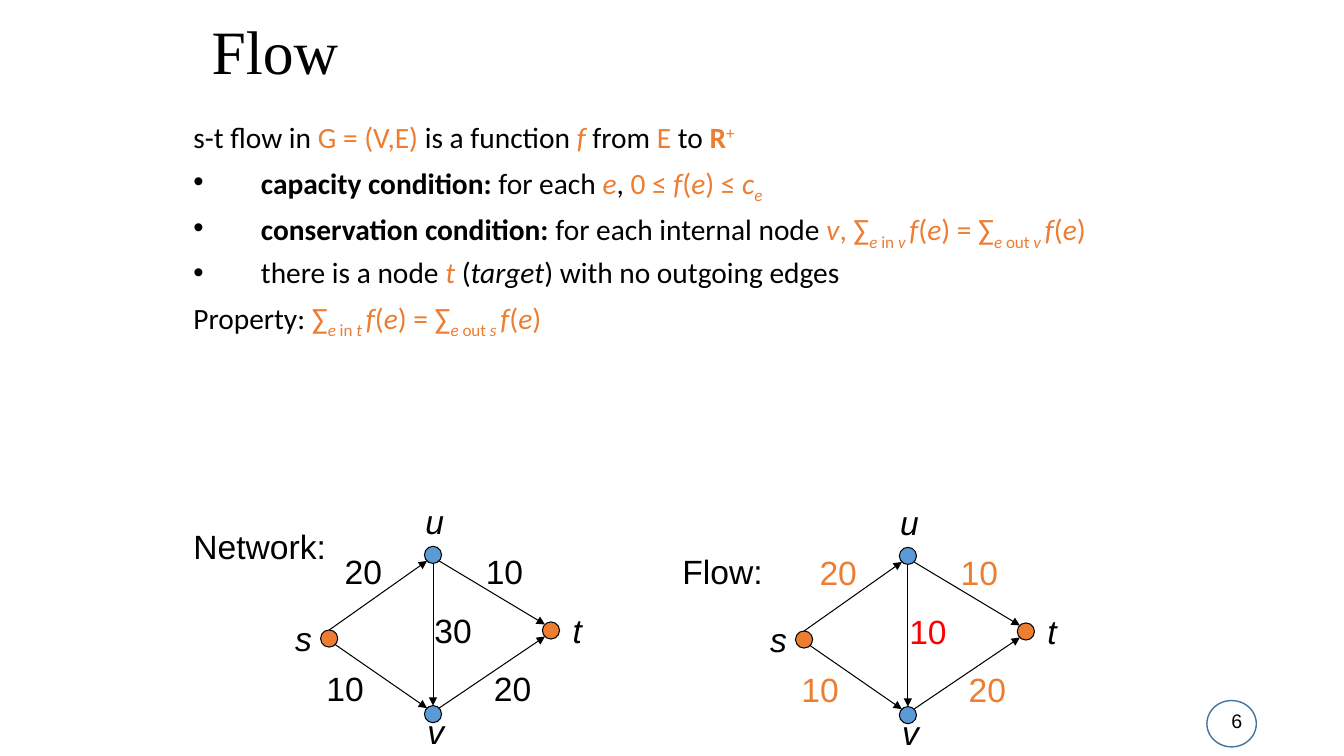
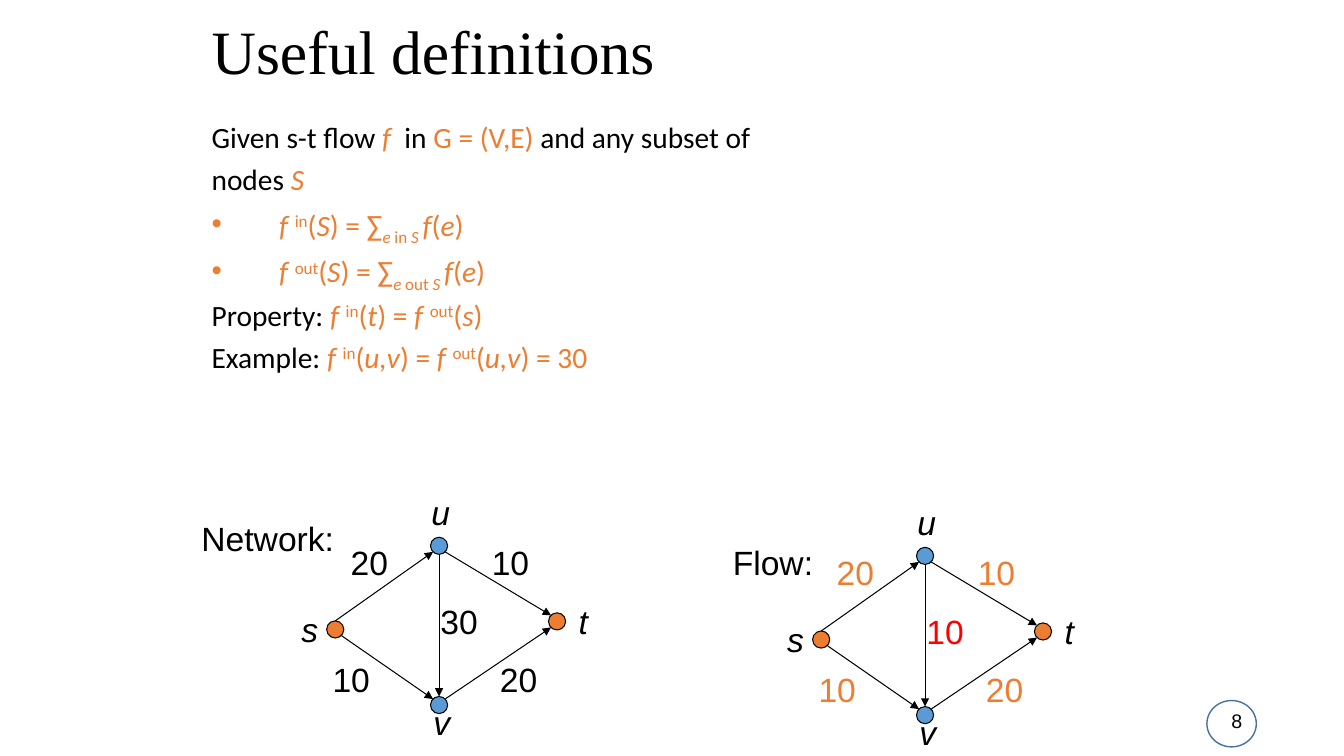
"""Build two slides on s-t flows, each with a network graph and a flow graph."""
from lxml import etree
from pptx import Presentation, util as u
from pptx.dml.color import RGBColor
from pptx.enum import shapes, text
from pptx.oxml.ns import qn

COLORS = {"ink": "000000", "orange": "ED7D31", "blue": "5B9BD5", "red": "FF0000", "ring": "43739E"}
ORANGE_STYLE, ITALIC, BOLD, SUPER, SUB = "o", "i", "b", "^", "_"
DOT = 0.17
NODES = {"s": (0, 0.83, "orange"), "u": (1.03, 0, "blue"),
         "t": (2.2, 0.75, "orange"), "v": (1.03, 1.58, "blue")}
SIDES = {"top": (0.5, 0), "bottom": (0.5, 1), "top left": (0.15, 0.15), "top right": (0.85, 0.15),
         "bottom left": (0.15, 0.85), "bottom right": (0.85, 0.85)}
EDGES = [("u", "bottom right", "t", "top left"), ("s", "top", "u", "bottom left"),
         ("s", "bottom right", "v", "top left"), ("v", "top right", "t", "bottom left"),
         ("u", "bottom", "v", "top")]
NODE_LABELS = {"s": (-0.35, 0.66, 0.37), "u": (-0.09, -0.5, 0.39),
               "t": (2.4, 0.58, 0.29), "v": (-0.07, 1.58, 0.37)}
EDGE_LABELS = {"su": (0.14, 0), "sv": (-0.04, 1.16), "vt": (1.62, 1.16), "ut": (1.54, 0), "uv": (1.03, 0.58)}


def rgb(name):
    return RGBColor.from_string(COLORS[name])


def set_font(font, name="Arial", size=24, color="ink", bold=False, italic=False):
    font.name, font.size = name, u.Pt(size)
    font.bold, font.italic = bold, italic
    font.color.rgb = rgb(color)


def add_text(s, x, y, w, h, content=None, align=None, spacing=None, wrap=True,
             anchor=text.MSO_ANCHOR.MIDDLE, **font):
    tf = s.shapes.add_textbox(*map(u.Inches, (x, y, w, h))).text_frame
    tf.word_wrap = wrap
    tf.auto_size = text.MSO_AUTO_SIZE.NONE if wrap else text.MSO_AUTO_SIZE.SHAPE_TO_FIT_TEXT
    tf.vertical_anchor = anchor
    if content is not None:
        p = tf.paragraphs[0]
        p.alignment, p.line_spacing = align, spacing
        r = p.add_run()
        r.text = content
        set_font(r.font, **font)
    return tf


def add_ellipse(s, x, y, w, h, fill=None, line="ink", width=0.75):
    sp = s.shapes.add_shape(shapes.MSO_SHAPE.OVAL, *map(u.Inches, (x, y, w, h)))
    sp.shadow.inherit = False
    if fill:
        sp.fill.solid()
        sp.fill.fore_color.rgb = rgb(fill)
    else:
        sp.fill.background()
    sp.line.color.rgb = rgb(line)
    sp.line.width = u.Pt(width)


def add_arrow(s, x1, y1, x2, y2):
    ln = s.shapes.add_connector(shapes.MSO_CONNECTOR.STRAIGHT, *map(u.Inches, (x1, y1, x2, y2)))
    ln.line.color.rgb = rgb("ink")
    ln.line.width = u.Pt(0.75)
    etree.SubElement(ln.line._get_or_add_ln(), qn("a:tailEnd"), type="triangle")
    etree.SubElement(ln._element.spPr, qn("a:effectLst"))


def add_body(s, x, w, paragraphs):
    tf = add_text(s, x, 1.17, w, 3.92, anchor=text.MSO_ANCHOR.TOP)
    for i, (bullet, runs) in enumerate(paragraphs):
        p = tf.add_paragraph() if i else tf.paragraphs[0]
        pPr = p._p.get_or_add_pPr()
        pPr.set("marL", str(u.Inches(0.67)))
        pPr.set("indent", str(-u.Inches(0.67)))
        if bullet:
            etree.SubElement(pPr, qn("a:buFont"), typeface="Arial")
            etree.SubElement(pPr, qn("a:buChar"), char="•")
        p.line_spacing = 0.9
        if i:
            p.space_before = u.Pt(7.5)
        for content, style in runs:
            r = p.add_run()
            r.text = content
            set_font(r.font, "Calibri", 21, "orange" if ORANGE_STYLE in style else "ink",
                     BOLD in style, ITALIC in style)
            if SUPER in style:
                r.font._element.set("baseline", "30000")
            elif SUB in style:
                r.font._element.set("baseline", "-25000")


def f_of_e():
    return [("f", "oi"), ("(", "o"), ("e", "oi"), (")", "o")]


def edge_sum(direction, node):
    return [("∑", "o"), ("e", "oi_"), (f" {direction} ", "o_"), (f"{node} ", "oi_"), *f_of_e()]


def node_flow(direction, nodes):
    return [("f ", "oi"), (direction, "o^"), ("(", "o"), (nodes, "oi"), (")", "o")]


def equation(left, right):
    return [*left, (" = ", "o"), *right]


def add_graph(s, x, y, values, color="ink", middle="ink"):
    for nx, ny, fill in NODES.values():
        add_ellipse(s, x + nx, y + ny, DOT, DOT, fill)

    def point(node, side):
        return [o + n + f * DOT for o, n, f in zip((x, y), NODES[node], SIDES[side])]

    for start, start_side, end, end_side in EDGES:
        add_arrow(s, *point(start, start_side), *point(end, end_side))
    for node, (dx, dy, w) in NODE_LABELS.items():
        left = x + dx + (NODES[node][0] if node in "uv" else 0)
        add_text(s, left, y + dy, w, 0.5, node, wrap=False, italic=True)
    for (edge, (dx, dy)), value in zip(EDGE_LABELS.items(), values):
        add_text(s, x + dx, y + dy, 0.57, 0.5, value, wrap=False,
                 color=middle if edge == "uv" else color)


def add_slide(prs, title, number, body, network, flow, network_caption, flow_caption):
    s = prs.slides.add_slide(prs.slide_layouts[6])
    add_ellipse(s, 11.97, 6.95, 0.49, 0.46, line="ring", width=1)
    add_text(s, 9.42, 6.95, 3, 0.4, number, align=text.PP_ALIGN.RIGHT, size=14)
    add_text(s, 2, -0.08, 9.17, 1.25, title, spacing=0.9, name="Times New Roman", size=44)
    add_body(s, *body)
    add_graph(s, *network, ("20", "10", "20", "10", "30"))
    add_graph(s, *flow, ("20", "10", "20", "10", "10"), "orange", "red")
    add_text(s, *network_caption, 1.53, 0.51, "Network:", wrap=False)
    add_text(s, *flow_caption, 1, 0.5, "Flow:", wrap=False)


def main():
    prs = Presentation()
    prs.slide_width, prs.slide_height = u.Inches(13.33), u.Inches(7.5)
    flow_text = [
        (False, [("s-t flow in ", ""), ("G = (V,E)", "o"), (" is a function ", ""), ("f", "oi"),
                 (" from ", ""), ("E", "o"), (" to ", ""), ("R", "ob"), ("+", "o^")]),
        (True, [("capacity condition:", "b"), (" for each ", ""), ("e", "oi"), (", ", ""),
                ("0 ≤ ", "o"), *f_of_e(), (" ≤ ", "o"), ("c", "oi"), ("e", "oi_")]),
        (True, [("conservation condition:", "b"), (" for each internal node ", ""), ("v", "oi"),
                (", ", "o"), *equation(edge_sum("in", "v"), edge_sum("out", "v"))]),
        (True, [("there is a node ", ""), ("t", "oi"), (" (", ""), ("target", "i"),
                (") with no outgoing edges", "")]),
        (False, [("Property: ", ""), *equation(edge_sum("in", "t"), edge_sum("out", "s"))]),
    ]
    definitions_text = [
        (False, [("Given s-t flow ", ""), ("f", "oi"), ("  in ", ""), ("G = (V,E)", "o"),
                 (" and any subset of", "")]),
        (False, [("nodes ", ""), ("S", "oi")]),
        *[(True, equation(node_flow(way, "S"), edge_sum(way, "S"))) for way in ("in", "out")],
        (False, [("Property: ", ""), *equation(node_flow("in", "t"), node_flow("out", "s"))]),
        (False, [("Example: ", ""), *equation(node_flow("in", "u,v"), node_flow("out", "u,v")),
                 (" = 30", "o")]),
    ]
    add_slide(prs, "Flow", "6", (1.82, 9.77, flow_text),
              (3.18, 5.42), (7.89, 5.43), (1.82, 5.16), (6.67, 5.42))
    add_slide(prs, "Useful definitions", "8", (2, 9.42, definitions_text),
              (3.24, 5.33), (8.06, 5.43), (1.9, 5.08), (7.17, 5.33))
    prs.save("out.pptx")


if __name__ == "__main__":
    main()
